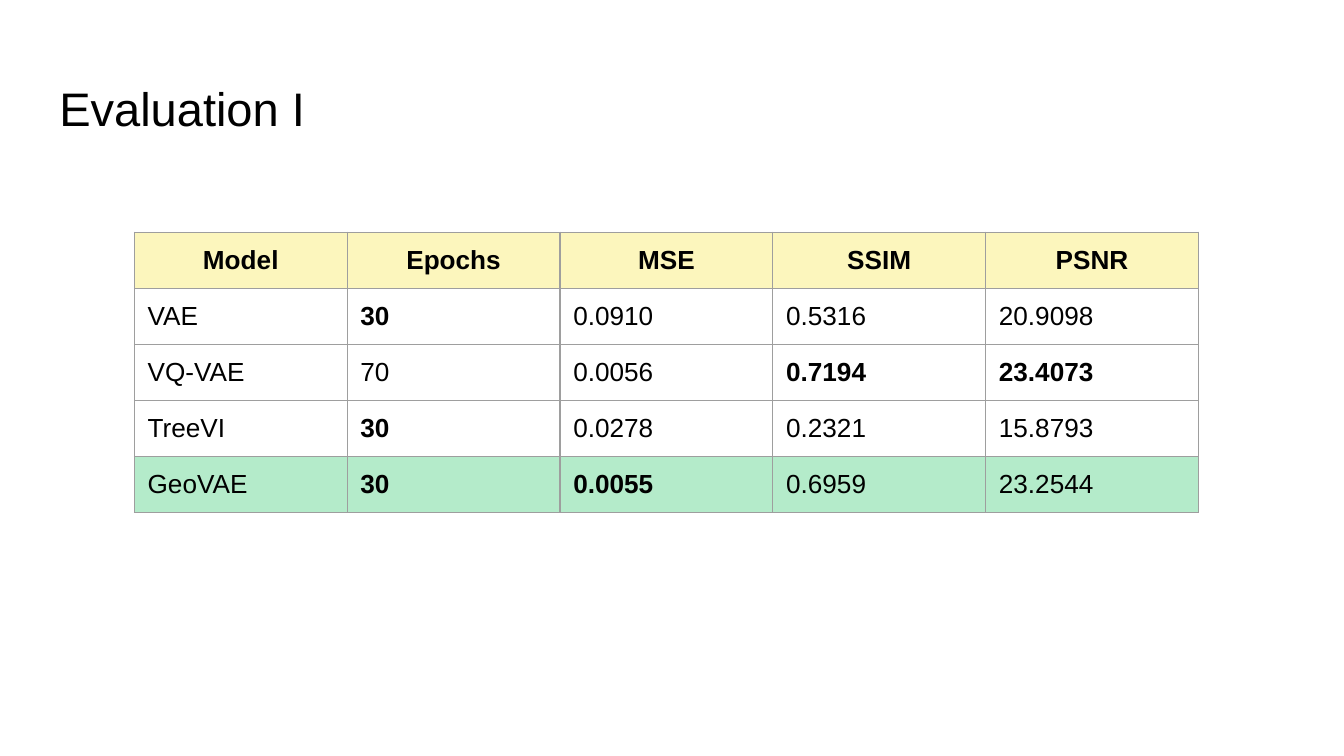
from lxml.etree import SubElement
from pptx import Presentation
from pptx.dml.color import RGBColor
from pptx.enum.text import MSO_ANCHOR, MSO_AUTO_SIZE, PP_ALIGN
from pptx.oxml.ns import qn
from pptx.util import Cm, Pt

INSET = Cm(0.25)
INSETS = {f"margin_{side}": INSET for side in ("left", "top", "right", "bottom")}
HEADER = ("Model", "Epochs", "MSE", "SSIM", "PSNR")
BEST = (None, min, min, max, max)
RESULTS = (
    ("VAE", "30", "0.0910", "0.5316", "20.9098"),
    ("VQ-VAE", "70", "0.0056", "0.7194", "23.4073"),
    ("TreeVI", "30", "0.0278", "0.2321", "15.8793"),
    ("GeoVAE", "30", "0.0055", "0.6959", "23.2544"),
)
ROW_FILLS = {0: "FCF6BD", len(RESULTS): "B4EBCA"}


def color(value):
    """Return the colour for a hex string."""
    return RGBColor.from_string(value)


def set_attrs(obj, values):
    """Set every attribute named in a dict."""
    for name, value in values.items():
        setattr(obj, name, value)


def write(p, text, size, bold=False, align=PP_ALIGN.LEFT):
    """Write one formatted run into a paragraph."""
    p.alignment = align
    r = p.add_run()
    r.text = text
    set_attrs(r.font, {"name": "Arial", "size": Pt(size), "bold": bold})
    r.font.color.rgb = color("000000")


def add_borders(cell, value, width):
    """Draw a solid line on all four sides of a cell."""
    tcPr = cell._tc.get_or_add_tcPr()
    for side in ("L", "R", "T", "B"):
        ln = SubElement(tcPr, qn(f"a:ln{side}"), w=str(Pt(width)))
        fill = SubElement(ln, qn("a:solidFill"))
        SubElement(fill, qn("a:srgbClr"), val=value)


def add_title(s, text, left, top, width, height):
    """Place the title in its box."""
    sp = s.shapes.title
    set_attrs(sp, {"left": left, "top": top, "width": width, "height": height})
    tf = sp.text_frame
    set_attrs(tf, {**INSETS, "word_wrap": True, "auto_size": MSO_AUTO_SIZE.NONE,
                   "vertical_anchor": MSO_ANCHOR.MIDDLE})
    write(tf.paragraphs[0], text, 25.2)


def is_best(row, col):
    """Tell whether a result is the best of its column."""
    pick = BEST[col]
    values = [float(result[col]) for result in RESULTS] if pick else []
    return bool(pick) and float(RESULTS[row][col]) == pick(values)


def add_results(s, left, top, width, height):
    """Fill a box with the table of results, best values in bold."""
    rows = (HEADER, *RESULTS)
    table = s.shapes.add_table(len(rows), len(HEADER), left, top, width, height).table
    set_attrs(table, {"first_row": False, "horz_banding": False})
    for i, row in enumerate(rows):
        for j, text in enumerate(row):
            cell = table.cell(i, j)
            set_attrs(cell, INSETS)
            add_borders(cell, "9E9E9E", 0.75)
            if i in ROW_FILLS:
                cell.fill.solid()
                cell.fill.fore_color.rgb = color(ROW_FILLS[i])
            else:
                cell.fill.background()
            header = i == 0
            write(cell.text_frame.paragraphs[0], text, 14,
                  header or is_best(i - 1, j),
                  PP_ALIGN.CENTER if header else PP_ALIGN.LEFT)


def main():
    """Build the evaluation slide."""
    prs = Presentation()
    set_attrs(prs, {"slide_width": Cm(25.4), "slide_height": Cm(14.29)})
    s = prs.slides.add_slide(prs.slide_layouts[5])
    add_title(s, "Evaluation I", Cm(0.87), Cm(1.24), Cm(23.67), Cm(1.6))
    add_results(s, Cm(2.54), Cm(4.39), Cm(20.11), Cm(5.3))
    prs.save("out.pptx")


if __name__ == "__main__":
    main()
